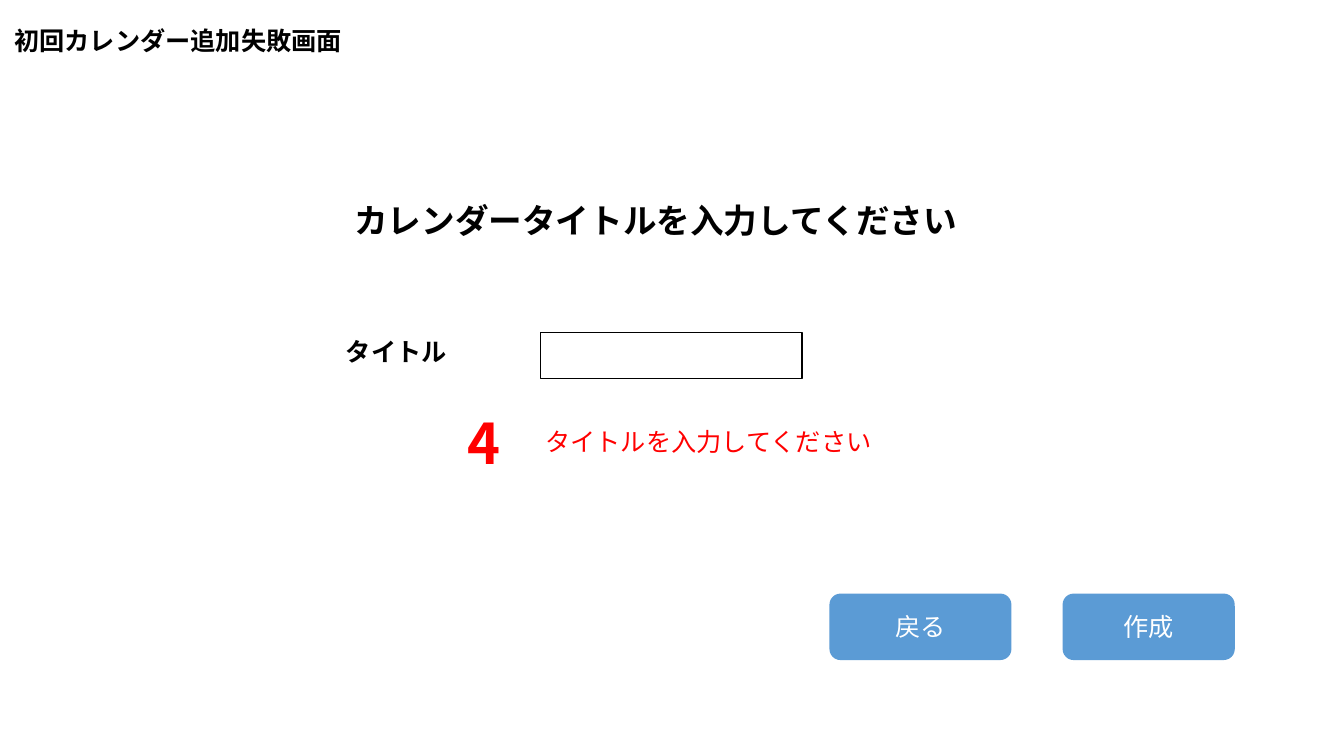
from pptx import Presentation
from pptx.dml.color import RGBColor
from pptx.enum.shapes import MSO_SHAPE
from pptx.enum.text import MSO_ANCHOR, MSO_AUTO_SIZE, PP_ALIGN
from pptx.oxml.ns import qn
from pptx.util import Pt

RECTANGLE = MSO_SHAPE.RECTANGLE
ROUNDED = MSO_SHAPE.ROUNDED_RECTANGLE
TOP, MIDDLE = MSO_ANCHOR.TOP, MSO_ANCHOR.MIDDLE
LEFT, CENTER = PP_ALIGN.LEFT, PP_ALIGN.CENTER
NO_AUTOFIT = MSO_AUTO_SIZE.NONE
TITLE_ONLY = 5

BLACK, WHITE, RED, BLUE = "000000", "FFFFFF", "FF0000", "5B9BD5"


def color(hex_string):
    return RGBColor.from_string(hex_string)


class FormScreen:
    """Holds the style and the current slide."""

    heading_font = "Noto Sans CJK JP"
    body_font = "Calibri"
    japanese_font = "Noto Sans CJK JP"

    def __init__(self, presentation):
        self.slide = presentation.slides.add_slide(presentation.slide_layouts[TITLE_ONLY])

    def add_label(self, shape, text, size, text_color, bold=False, align=LEFT, anchor=TOP):
        frame = shape.text_frame
        frame.word_wrap = True
        frame.auto_size = NO_AUTOFIT
        frame.vertical_anchor = anchor
        paragraph = frame.paragraphs[0]
        paragraph.alignment = align
        run = paragraph.add_run()
        run.text = text
        font = run.font
        font.name = self.heading_font if bold else self.body_font
        font.size = Pt(size)
        font.bold = bold
        font.color.rgb = color(text_color)
        # Typeface for the Japanese characters
        properties = run._r.get_or_add_rPr()
        east_asian = properties.makeelement(qn("a:ea"), {"typeface": self.japanese_font})
        properties.find(qn("a:latin")).addnext(east_asian)

    def title(self, text, left, top, width, height, size):
        shape = self.slide.shapes.title
        shape.left, shape.top = Pt(left), Pt(top)
        shape.width, shape.height = Pt(width), Pt(height)
        self.add_label(shape, text, size, BLACK, bold=True)

    def text(self, text, left, top, width, height, size, text_color=BLACK, bold=True):
        shape = self.slide.shapes.add_textbox(Pt(left), Pt(top), Pt(width), Pt(height))
        self.add_label(shape, text, size, text_color, bold)

    def box(self, kind, left, top, width, height, fill, line=None):
        shape = self.slide.shapes.add_shape(kind, Pt(left), Pt(top), Pt(width), Pt(height))
        shape.shadow.inherit = False
        shape.fill.solid()
        shape.fill.fore_color.rgb = color(fill)
        if line:
            shape.line.color.rgb = color(line)
            shape.line.width = Pt(1)
        else:
            shape.line.fill.background()
        return shape

    def button(self, text, left, top, width, height):
        shape = self.box(ROUNDED, left, top, width, height, BLUE)
        self.add_label(shape, text, 18, WHITE, align=CENTER, anchor=MIDDLE)


def main():
    presentation = Presentation()
    presentation.slide_width, presentation.slide_height = Pt(960), Pt(540)
    screen = FormScreen(presentation)

    # Screen name and prompt
    screen.title("初回カレンダー追加失敗画面", 3, 14.5, 283, 29, 18)
    screen.text("カレンダータイトルを入力してください", 246, 139, 467, 36, 24)

    # Title field
    screen.text("タイトル", 240, 237, 123, 30, 18)
    screen.box(RECTANGLE, 386, 237.5, 187, 33, WHITE, line=BLACK)

    # Error message with its number
    screen.text("タイトルを入力してください", 382.5, 301, 258, 51, 18, RED, bold=False)
    screen.text("4", 327, 288, 56, 55, 40, RED)

    # Buttons
    for label, left, width in (("戻る", 592.5, 130), ("作成", 759, 123)):
        screen.button(label, left, 424, width, 47.5)

    presentation.save("out.pptx")


if __name__ == "__main__":
    main()
